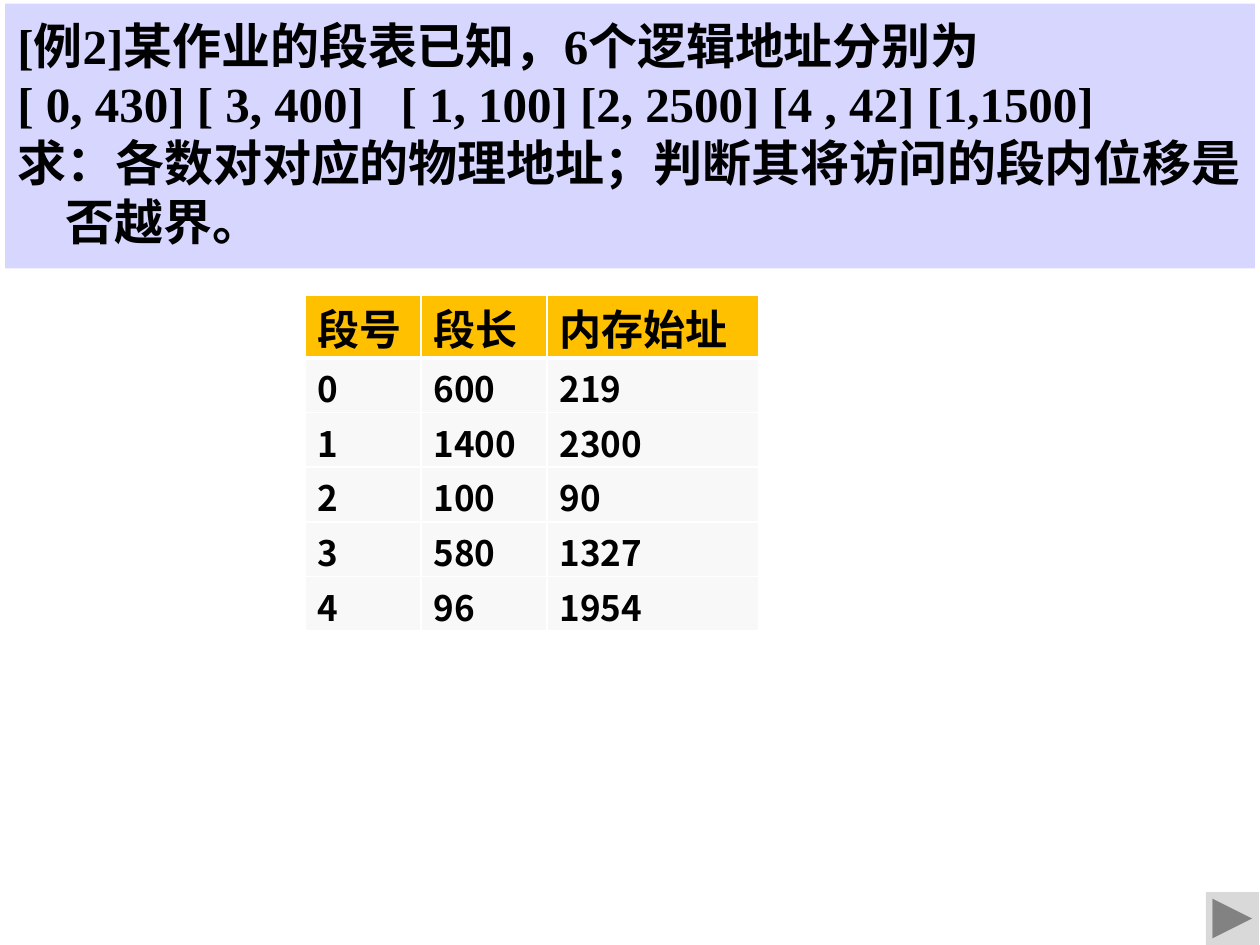
from lxml import etree
from pptx import Presentation
from pptx.dml.color import RGBColor
from pptx.enum.shapes import MSO_SHAPE as Shape
from pptx.enum.text import MSO_ANCHOR as Anchor, PP_ALIGN as Align
from pptx.oxml.ns import qn
from pptx.util import Inches, Pt

COLORS = {"text": "000000", "panel": "D6D6FF", "header": "FFC000",
          "body": "F8F8F8", "border": "FFFFFF", "button": "D9D9D9"}
CJK_FONT = "Noto Sans CJK SC"
LATIN_FONT = "Times New Roman"
LINE_RATIO = 1.2

PROBLEM = [
    "[例2]某作业的段表已知，6个逻辑地址分别为",
    "[ 0, 430] [ 3, 400]   [ 1, 100] [2, 2500] [4 , 42] [1,1500]",
    "求：各数对对应的物理地址；判断其将访问的段内位移是否越界。",
]
SEGMENTS = [
    ("段号", "段长", "内存始址"),
    ("0", "600", "219"),
    ("1", "1400", "2300"),
    ("2", "100", "90"),
    ("3", "580", "1327"),
    ("4", "96", "1954"),
]
COLUMN_WIDTHS = (0.92, 1, 1.68)


def color(name):
    return RGBColor.from_string(COLORS[name])


def write(para, text, size, font):
    """Add one bold run; Chinese characters always use the CJK font."""
    para.alignment = Align.LEFT
    para.line_spacing = Pt(size * LINE_RATIO)
    span = para.add_run()
    span.text = text
    span.font.size = Pt(size)
    span.font.bold = True
    span.font.name = font
    span.font.color.rgb = color("text")
    latin = span.font._element.find(qn("a:latin"))
    east_asian = etree.Element(qn("a:ea"), typeface=CJK_FONT)
    latin.addnext(east_asian)


def set_borders(cell, bottom):
    """Draw 1 pt sides and a bottom line of the given width."""
    properties = cell._tc.get_or_add_tcPr()
    widths = {"lnL": 1, "lnR": 1, "lnT": 1, "lnB": bottom}
    for index, (side, width) in enumerate(widths.items()):
        line = etree.Element(qn(f"a:{side}"), w=str(Pt(width)))
        fill = etree.SubElement(line, qn("a:solidFill"))
        etree.SubElement(fill, qn("a:srgbClr"), val=COLORS["border"])
        properties.insert(index, line)


def add_shape(page, kind, left, top, width, height, fill):
    shape = page.shapes.add_shape(
        kind, Inches(left), Inches(top), Inches(width), Inches(height))
    shape.shadow.inherit = False
    shape.fill.solid()
    shape.fill.fore_color.rgb = color(fill)
    shape.line.fill.background()
    return shape


def add_segment_table(page):
    frame = page.shapes.add_table(
        len(SEGMENTS), len(COLUMN_WIDTHS), Inches(2.42), Inches(2.34),
        Inches(sum(COLUMN_WIDTHS)), Inches(2.67))
    table = frame.table
    for column, width in zip(table.columns, COLUMN_WIDTHS):
        column.width = Inches(width)
    for row_index, values in enumerate(SEGMENTS):
        is_header = row_index == 0
        size = 24 if is_header else 20
        row = table.rows[row_index]
        row.height = Inches(0.1) + Pt(size * LINE_RATIO)
        for cell, value in zip(row.cells, values):
            cell.margin_top, cell.margin_bottom = Inches(0.1), 0
            cell.fill.solid()
            cell.fill.fore_color.rgb = color("header" if is_header else "body")
            set_borders(cell, bottom=3 if is_header else 1)
            write(cell.text_frame.paragraphs[0], value, size, CJK_FONT)


def add_problem(page):
    box = add_shape(page, Shape.RECTANGLE, 0.04, 0.03, 9.92, 2.1, "panel")
    frame = box.text_frame
    frame.word_wrap = True
    frame.vertical_anchor = Anchor.TOP
    frame.margin_top = Inches(0.09)
    frame.margin_right = Inches(0.05)
    for index, text in enumerate(PROBLEM):
        para = frame.add_paragraph() if index else frame.paragraphs[0]
        properties = para._p.get_or_add_pPr()
        properties.set("marL", str(Inches(0.38)))
        properties.set("indent", str(-Inches(0.38)))
        write(para, text, 28, LATIN_FONT)


def main():
    deck = Presentation()
    deck.slide_width, deck.slide_height = Inches(10), Inches(7.5)
    page = deck.slides.add_slide(deck.slide_layouts[6])
    add_segment_table(page)
    add_problem(page)
    add_shape(page, Shape.ACTION_BUTTON_FORWARD_OR_NEXT,
              9.57, 7.08, 0.42, 0.42, "button")
    deck.save("out.pptx")


if __name__ == "__main__":
    main()
